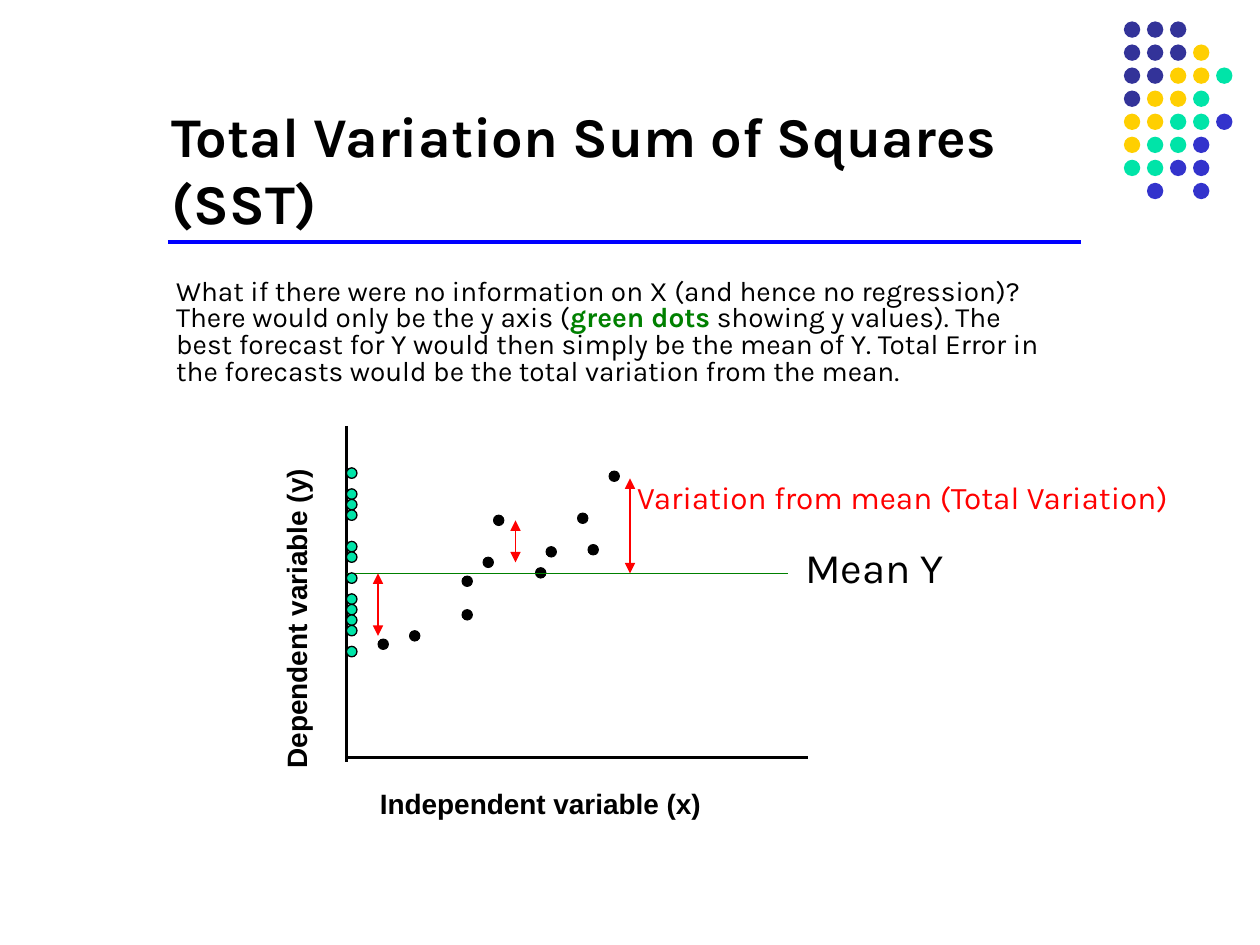
import pptx
import pptx.util
import pptx.dml.color
import pptx.enum.shapes
import pptx.enum.text
import pptx.oxml.ns
import lxml.etree

COLORS = {
    "black": "000000", "navy": "333399", "yellow": "FFCF01", "mint": "00E4A8",
    "indigo": "3333CC", "rule": "0000FF", "green": "008000", "red": "FF0000",
}
Inches, Pt = pptx.util.Inches, pptx.util.Pt
CELL = 1 / 12


def rgb(name):
    return pptx.dml.color.RGBColor.from_string(COLORS[name])


def add_run(paragraph, text, size, color="black", bold=False, font="Karla"):
    run = paragraph.add_run()
    run.text = text
    run.font.name = font
    run.font.size = Pt(size)
    run.font.bold = bold
    run.font.color.rgb = rgb(color)


def add_line(slide, x1, y1, x2, y2, color, width, arrows=False):
    line = slide.shapes.add_connector(
        pptx.enum.shapes.MSO_CONNECTOR.STRAIGHT,
        Inches(x1), Inches(y1), Inches(x2), Inches(y2))
    line.line.color.rgb = rgb(color)
    line.line.width = Pt(width)
    properties = line.line._get_or_add_ln()
    if arrows:
        for end in ("a:headEnd", "a:tailEnd"):
            lxml.etree.SubElement(properties, pptx.oxml.ns.qn(end), type="triangle")
    lxml.etree.SubElement(properties.getparent(), pptx.oxml.ns.qn("a:effectLst"))


def add_dot(slide, x, y, size, fill, outline=None):
    dot = slide.shapes.add_shape(
        pptx.enum.shapes.MSO_SHAPE.OVAL,
        Inches(x), Inches(y), Inches(size), Inches(size))
    dot.shadow.inherit = False
    dot.fill.solid()
    dot.fill.fore_color.rgb = rgb(fill)
    if outline:
        dot.line.color.rgb = rgb("black")
        dot.line.width = Pt(outline)
    else:
        dot.line.fill.background()


def add_text_frame(slide, left, top, width, height, wrap=False, rotation=0):
    box = slide.shapes.add_textbox(
        Inches(left), Inches(top), Inches(width), Inches(height))
    box.rotation = rotation
    box.text_frame.word_wrap = wrap
    return box.text_frame


def place_dot_ornament(slide, left, top, pitch):
    palette = {"n": "navy", "y": "yellow", "m": "mint", "i": "indigo"}
    pattern = ["nnn", "nnny", "nnyym", "nyym", "yymmi", "ymmi", "mmii", " i i"]
    for row, letters in enumerate(pattern):
        for column, letter in enumerate(letters):
            if letter in palette:
                add_dot(slide, left + column * pitch, top + row * pitch,
                        pitch * 0.71, palette[letter])


def place_title(slide, left, top, width, height):
    title = slide.shapes.title
    title.left, title.top = Inches(left), Inches(top)
    title.width, title.height = Inches(width), Inches(height)
    frame = title.text_frame
    frame.auto_size = pptx.enum.text.MSO_AUTO_SIZE.NONE
    frame.vertical_anchor = pptx.enum.text.MSO_ANCHOR.BOTTOM
    paragraph = frame.paragraphs[0]
    paragraph.alignment = pptx.enum.text.PP_ALIGN.LEFT
    add_run(paragraph, "Total Variation Sum of Squares (SST)", 32, bold=True)
    add_line(slide, left + width * 0.01, top + height, left + width, top + height,
             "rule", 2.25)


def place_explanation(slide, left, top, width, height):
    frame = add_text_frame(slide, left, top, width, height, wrap=True)
    paragraph = frame.paragraphs[0]
    paragraph.line_spacing = 0.8
    paragraph.space_before = Pt(4)
    add_run(paragraph, "What if there were no information on X (and hence no regression)? "
            "There would only be the y axis (", 16)
    add_run(paragraph, "green dots", 16, "green", True)
    add_run(paragraph, " showing y values). The best forecast for Y would then simply be "
            "the mean of Y. Total Error in the forecasts would be the total variation "
            "from the mean.", 16)


def place_scatter(slide, left, top, columns, rows):
    mean_row = 14.05
    observations = [
        (11, 17.5), (6, 19.5), (13, 12.5), (18, 13.5), (14, 8.5), (19, 11.5),
        (23, 11.3), (22, 8.3), (11, 14.3), (3, 20.3), (25, 4.3),
    ]
    y_values = [4, 6, 7, 8, 11, 12, 14, 16, 17, 18, 19, 21]
    variations = [(27, 5), (3, 20), (16.1, 9, 13)]
    labels = [
        ("Dependent variable (y)", -22, 14.4, 34.4, 4.4, 16, "black", True, "Arial", 270),
        ("Independent variable (x)", 2, 33.8, 33, 4.4, 16, "black", True, "Arial", 0),
        ("Mean Y", 42.5, 10.4, 16.3, 6, 24, "black", False, "Karla", 0),
        ("Variation from mean (Total Variation)", 26.5, 4.4, 54.6, 4.8, 18, "red",
         False, "Karla", 0),
    ]

    def x(column):
        return left + column * CELL

    def y(row):
        return top + row * CELL

    add_line(slide, x(0), y(0), x(0), y(rows), "black", 2)
    add_line(slide, x(0), y(rows - 0.4), x(columns), y(rows - 0.4), "black", 2)
    for column, row in observations:
        add_dot(slide, x(column), y(row), CELL, "black", 0.5)
    add_line(slide, x(0), y(mean_row), x(columns - 2), y(mean_row), "green", 0.75)
    for row in y_values:
        add_dot(slide, x(0), y(row), CELL, "mint", 0.75)
    for column, start, *end in variations:
        add_line(slide, x(column), y(start), x(column), y(end[0] if end else mean_row),
                 "red", 0.75, arrows=True)
    for text, column, row, width, height, size, color, bold, font, rotation in labels:
        frame = add_text_frame(slide, x(column), y(row), width * CELL, height * CELL,
                               wrap=rotation != 0, rotation=rotation)
        add_run(frame.paragraphs[0], text, size, color, bold, font)


def main():
    deck = pptx.Presentation()
    deck.slide_width, deck.slide_height = Inches(10), Inches(7.5)
    slide = deck.slides.add_slide(deck.slide_layouts[5])
    place_dot_ornament(slide, left=8.92, top=0.17, pitch=0.183)
    place_title(slide, left=1.26, top=0.67, width=7.32, height=1.25)
    place_explanation(slide, left=1.3, top=2.17, width=7.12, height=1.29)
    place_scatter(slide, left=2.75, top=3.38, columns=44, rows=32)
    deck.save("out.pptx")


if __name__ == "__main__":
    main()
